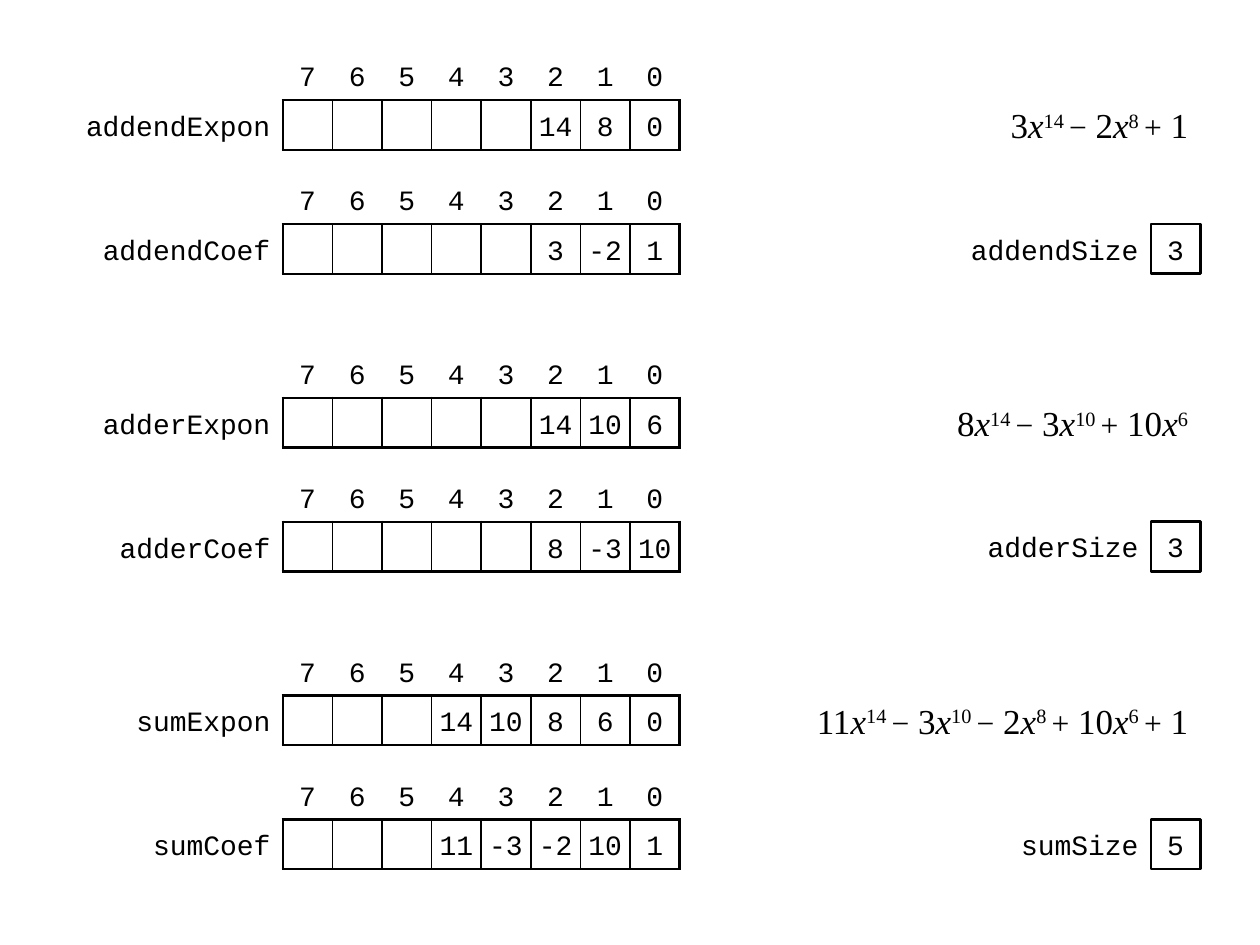
import pptx
import pptx.dml.color
import pptx.enum.shapes
import pptx.enum.text
import pptx.oxml.ns
import pptx.util
from lxml import etree

Cm, Pt = pptx.util.Cm, pptx.util.Pt
ALIGN = pptx.enum.text.PP_ALIGN
MIDDLE = pptx.enum.text.MSO_ANCHOR.MIDDLE

COLORS = {"ink": "000000", "paper": "FFFFFF"}
CODE, MATH = "Courier New", "Times New Roman"
NO_STYLE = "{2D5ABB26-0587-4C30-8999-92F81FD0307C}"

INDICES = [7, 6, 5, 4, 3, 2, 1, 0]
POLYNOMIALS = [
    {
        "arrays": [("addendExpon", 4.5, [14, 8, 0]), ("addendCoef", 4, [3, -2, 1])],
        "terms": [("", 3, 14), ("−", 2, 8), ("+", 1, 0)],
        "formula_width": 5,
        "size": ("addendSize", 4, 3),
    },
    {
        "arrays": [("adderExpon", 4, [14, 10, 6]), ("adderCoef", 3.5, [8, -3, 10])],
        "terms": [("", 8, 14), ("−", 3, 10), ("+", 10, 6)],
        "formula_width": 6,
        "size": ("adderSize", 4, 3),
    },
    {
        "arrays": [("sumExpon", 3.5, [14, 10, 8, 6, 0]),
                   ("sumCoef", 3, [11, -3, -2, 10, 1])],
        "terms": [("", 11, 14), ("−", 3, 10), ("−", 2, 8), ("+", 10, 6), ("+", 1, 0)],
        "formula_width": 9,
        "size": ("sumSize", 3, 5),
    },
]

TOP, GROUP_STEP, ARRAY_STEP = 1.02, 6, 2.5
CELL = 1
ARRAY_LEFT, SIZE_LEFT = 5.7, 23.2
LABEL_GAP = 0.25
THIN, THICK = 1, 1.5


def rgb(name):
    return pptx.dml.color.RGBColor.from_string(COLORS[name])


def add_run(paragraph, text, size=16, font=CODE, italic=False, raised=False):
    run = paragraph.add_run()
    run.text = str(text)
    run.font.size = Pt(size)
    run.font.name = font
    run.font.italic = italic
    run.font.color.rgb = rgb("ink")
    if raised:
        run.font._element.set("baseline", "30000")


def set_border(cell, side, width):
    line = etree.SubElement(cell._tc.get_or_add_tcPr(),
                            pptx.oxml.ns.qn("a:ln" + side), w=str(Pt(width)))
    fill = etree.SubElement(line, pptx.oxml.ns.qn("a:solidFill"))
    etree.SubElement(fill, pptx.oxml.ns.qn("a:srgbClr"), val=COLORS["ink"])


def fill_cell(cell, text, align=ALIGN.CENTER, borders=()):
    cell.margin_left = cell.margin_right = cell.margin_top = cell.margin_bottom = 0
    cell.vertical_anchor = MIDDLE
    for side, width in borders:
        set_border(cell, side, width)
    cell.fill.background()
    if text != "":
        paragraph = cell.text_frame.paragraphs[0]
        paragraph.alignment = align
        paragraph.line_spacing = 1.25
        add_run(paragraph, text)


def add_array(slide, top, name, label_width, values):
    count = len(INDICES)
    table = slide.shapes.add_table(
        2, count + 1, Cm(ARRAY_LEFT - label_width), Cm(top),
        Cm(label_width + count * CELL), Cm(2 * CELL)).table
    table.first_row = table.horz_banding = False
    table._tbl.tblPr.find(pptx.oxml.ns.qn("a:tableStyleId")).text = NO_STYLE
    for row in table.rows:
        row.height = Cm(CELL)
    table.columns[0].width = Cm(label_width)
    fill_cell(table.cell(0, 0), "")
    label = table.cell(1, 0)
    fill_cell(label, name, ALIGN.RIGHT, [("R", THICK)])
    label.margin_left, label.margin_right = Cm(0.1), Cm(LABEL_GAP)

    padded = [""] * (count - len(values)) + values
    for column, (index, value) in enumerate(zip(INDICES, padded), 1):
        table.columns[column].width = Cm(CELL)
        fill_cell(table.cell(0, column), index, borders=[("B", THICK)])
        left = THICK if column == 1 else THIN
        right = THICK if column == count else THIN
        fill_cell(table.cell(1, column), value,
                  borders=[("L", left), ("R", right), ("T", THICK), ("B", THICK)])


def prepare_paragraph(frame, align):
    frame.vertical_anchor = MIDDLE
    paragraph = frame.paragraphs[0]
    paragraph.alignment = align
    before = etree.SubElement(paragraph._p.get_or_add_pPr(),
                              pptx.oxml.ns.qn("a:spcBef"))
    etree.SubElement(before, pptx.oxml.ns.qn("a:spcPct"), val="50000")
    return paragraph


def add_right_text(slide, right, top, width):
    frame = slide.shapes.add_textbox(
        Cm(right - width), Cm(top), Cm(width), Cm(CELL)).text_frame
    frame.word_wrap = True
    frame.margin_left = frame.margin_right = Cm(LABEL_GAP)
    frame.margin_top = frame.margin_bottom = 0
    return prepare_paragraph(frame, ALIGN.RIGHT)


def add_formula(slide, top, width, terms):
    paragraph = add_right_text(slide, SIZE_LEFT + CELL, top, width)
    for position, (sign, coefficient, exponent) in enumerate(terms, 1):
        if sign:
            add_run(paragraph, sign, 18, MATH)
        add_run(paragraph, f" {coefficient}" if sign else coefficient, 20, MATH)
        if exponent:
            add_run(paragraph, "x", 20, MATH, italic=True)
            gap = " " if position < len(terms) else ""
            add_run(paragraph, f"{exponent}{gap}", 20, MATH, raised=True)


def add_size(slide, top, name, width, value):
    add_run(add_right_text(slide, SIZE_LEFT, top, width), name)
    box = slide.shapes.add_shape(pptx.enum.shapes.MSO_SHAPE.RECTANGLE,
                                 Cm(SIZE_LEFT), Cm(top), Cm(CELL), Cm(CELL))
    box.shadow.inherit = False
    box.fill.solid()
    box.fill.fore_color.rgb = rgb("paper")
    box.line.color.rgb = rgb("ink")
    box.line.width = Pt(THICK)
    add_run(prepare_paragraph(box.text_frame, ALIGN.CENTER), value)


def main():
    deck = pptx.Presentation()
    deck.slide_width, deck.slide_height = Cm(25.4), Cm(19.05)
    slide = deck.slides.add_slide(deck.slide_layouts[6])
    for group, polynomial in enumerate(POLYNOMIALS):
        top = TOP + group * GROUP_STEP
        for row, array in enumerate(polynomial["arrays"]):
            add_array(slide, top + row * ARRAY_STEP, *array)
        add_formula(slide, top + CELL, polynomial["formula_width"], polynomial["terms"])
        add_size(slide, top + ARRAY_STEP + CELL, *polynomial["size"])
    deck.save("out.pptx")


if __name__ == "__main__":
    main()
